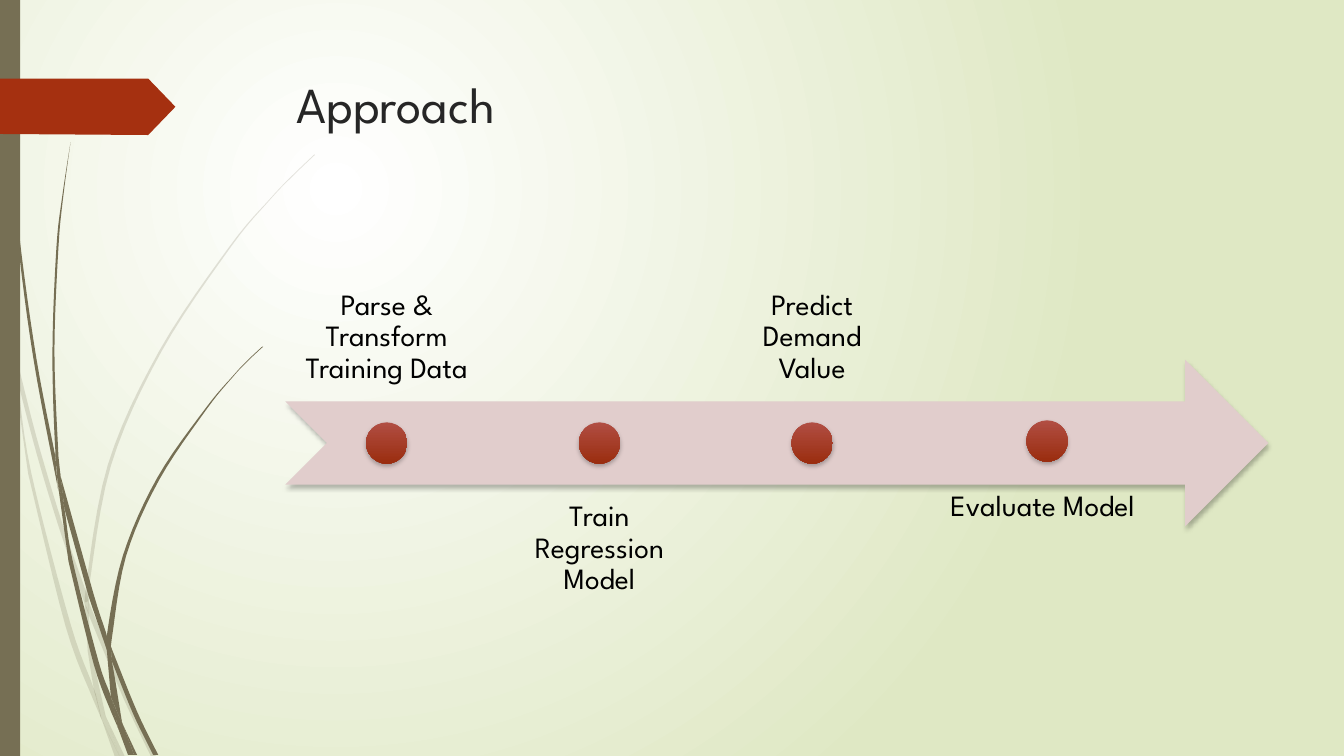
import pptx
import pptx.dml.color
import pptx.enum.shapes
import pptx.enum.text
import pptx.oxml
import pptx.oxml.ns
import pptx.util

PX = 9144  # EMU per px, 100 px to the inch
FONT = "League Spartan"
RGB = pptx.dml.color.RGBColor
SHAPE = pptx.enum.shapes.MSO_SHAPE
ANCHOR = pptx.enum.text.MSO_ANCHOR
ALIGN = pptx.enum.text.PP_ALIGN
qn = pptx.oxml.ns.qn

WHITE = RGB(0xFF, 0xFF, 0xFF)
PALE_GREEN = RGB(0xDF, 0xE8, 0xC4)
OLIVE = RGB(0x76, 0x6F, 0x54)
RED = RGB(0xA5, 0x30, 0x10)
DOT_TOP = RGB(0xB1, 0x4E, 0x43)
DOT_BOTTOM = RGB(0x9A, 0x2D, 0x0F)
PINK = RGB(0xE1, 0xCD, 0xCC)
DARK = RGB(0x26, 0x26, 0x26)
BLACK = RGB(0, 0, 0)

# Grass pieces: one edge going down, then the other edge coming back
FADED_GRASS = [
    ([(0, 282), (9, 322), (11, 350)], [(10, 344), (0, 299)]),
    ([(14, 345), (36, 433), (62, 520), (85, 586)],
     [(84, 599), (58, 522), (36, 449), (17, 376)]),
    ([(88, 596), (92, 607), (127, 692), (155, 751)],
     [(150, 751), (123, 694), (88, 610)]),
    ([(105, 711), (124, 751)], [(119, 751)]),
    ([(11, 350), (17, 376), (31, 469), (70, 619), (93, 683), (101, 714)],
     [(92, 693), (65, 621), (28, 470)]),
    ([(84, 599), (88, 610), (91, 646), (105, 711)],
     [(96, 692), (93, 683), (87, 646)]),
    ([(312, 153), (289, 175), (268, 197), (228, 244), (158, 348), (107, 461),
      (85, 584), (88, 596)],
     [(88, 584), (110, 462), (160, 349), (229, 245), (268, 198), (290, 175),
      (312, 154)]),
    ([(101, 714), (114, 751)], [(119, 751)]),
    ([(85, 586), (88, 596), (88, 610)], [(84, 599)]),
    ([(93, 683), (99, 707), (101, 714), (119, 751)], [(105, 711), (96, 692)]),
]
DARK_GRASS = [
    ([(3, 0), (4, 48), (7, 110), (17, 233), (33, 355), (56, 477), (57, 481)],
     [(55, 453), (36, 355), (19, 232), (8, 109), (5, 48), (4, 0)]),
    ([(60, 472), (93, 590), (106, 631), (106, 645)], [(88, 592), (64, 505)]),
    ([(110, 641), (113, 649), (136, 706), (157, 749)],
     [(152, 749), (132, 708), (111, 656)]),
    ([(57, 477), (64, 505), (72, 556), (98, 657), (110, 691), (117, 722)],
     [(111, 708), (93, 659), (68, 557)]),
    ([(70, 141), (62, 193), (56, 245), (52, 349), (55, 449), (60, 472)],
     [(58, 453), (54, 349), (58, 245), (63, 193), (70, 141)]),
    ([(122, 719), (136, 749)], [(133, 749)]),
    ([(55, 449), (60, 472), (64, 505)], [(57, 477), (55, 453)]),
    ([(260, 344), (245, 358), (231, 373), (204, 405), (156, 474), (122, 551),
      (106, 631), (110, 641)],
     [(111, 633), (125, 552), (158, 476), (205, 406), (231, 374), (245, 359),
      (261, 344)]),
    ([(117, 722), (131, 749)], [(127, 749)]),
    ([(106, 645), (111, 656), (121, 716), (122, 719)],
     [(116, 706), (110, 691)]),
    ([(106, 631), (110, 641), (111, 656)], [(106, 645)]),
    ([(110, 691), (116, 706), (122, 719), (133, 749)],
     [(130, 749), (117, 722)]),
]
BANNER = [(0, 78), (147, 78), (174, 106), (147, 134), (0, 133)]

# Steps: text, text box, anchor, dot left and top
STEPS = [
    ("Parse & Transform Training Data", (283, 233, 201, 165), ANCHOR.BOTTOM, (363, 419)),
    ("Train Regression Model", (494, 481, 201, 165), ANCHOR.TOP, (574, 419)),
    ("Predict Demand Value", (705, 233, 201, 165), ANCHOR.BOTTOM, (785, 419)),
    ("Evaluate Model", (912, 471, 244, 175), ANCHOR.TOP, (1018, 417)),
]
DOT = 41


def px(*lengths):
    return [pptx.util.Emu(round(n * PX)) for n in lengths]


def smooth(points, steps=6):
    """Catmull-Rom curve through the points."""
    ends = [points[0], *points, points[-1]]
    curve = [points[0]]
    for a, b, c, d in zip(ends, ends[1:], ends[2:], ends[3:]):
        for i in range(1, steps + 1):
            t = i / steps
            curve.append(tuple(
                b[k] + t * (c[k] - a[k]) / 2
                + t * t * (2 * a[k] - 5 * b[k] + 4 * c[k] - d[k]) / 2
                + t ** 3 * (3 * b[k] - a[k] - 3 * c[k] + d[k]) / 2
                for k in (0, 1)))
    return curve


def paint(sp, color):
    sp.shadow.inherit = False
    sp.fill.solid()
    sp.fill.fore_color.rgb = color
    sp.line.fill.background()


def add_outline(shapes, points, color):
    start, *rest = [px(*point) for point in points]
    builder = shapes.build_freeform(*start)
    builder.add_line_segments(rest, close=True)
    sp = builder.convert_to_shape()
    paint(sp, color)
    return sp


def add_grass(s, pieces, opacity):
    group = s.shapes.add_group_shape()
    for down, back in pieces:
        sp = add_outline(group.shapes, smooth(down) + smooth(back), OLIVE)
        if opacity < 100:
            clr = sp._element.spPr.find(".//" + qn("a:srgbClr"))
            clr.append(pptx.oxml.parse_xml(
                f'<a:alpha {pptx.oxml.ns.nsdecls("a")} val="{opacity * 1000}"/>'))


def add_preset(s, kind, box, color):
    sp = s.shapes.add_shape(kind, *px(*box))
    paint(sp, color)
    return sp


def add_soft_shadow(sp):
    effects = sp._element.spPr.find(qn("a:effectLst"))
    effects.append(pptx.oxml.parse_xml(
        f'<a:outerShdw {pptx.oxml.ns.nsdecls("a")} blurRad="38100" dist="25400" '
        'dir="5400000" rotWithShape="0"><a:srgbClr val="000000">'
        '<a:alpha val="25000"/></a:srgbClr></a:outerShdw>'))


def set_gradient(fill, first, last):
    fill.gradient()
    for stop, color in zip(fill.gradient_stops, (first, last)):
        stop.color.rgb = color


def set_background(s):
    set_gradient(s.background.fill, WHITE, PALE_GREEN)
    lin = s._element.find(".//" + qn("a:lin"))
    lin.getparent().replace(lin, pptx.oxml.parse_xml(
        f'<a:path {pptx.oxml.ns.nsdecls("a")} path="circle"><a:fillToRect '
        'l="50000" t="50000" r="100000" b="100000"/></a:path>'))


def add_text(s, text, box, size, color, anchor=ANCHOR.TOP, align=ALIGN.LEFT,
             inset=(10, 5), spacing=1.0):
    tf = s.shapes.add_textbox(*px(*box)).text_frame
    tf.word_wrap = True
    tf.vertical_anchor = anchor
    tf.margin_left = tf.margin_right = px(inset[0])[0]
    tf.margin_top = tf.margin_bottom = px(inset[1])[0]
    p = tf.paragraphs[0]
    p.text = text
    p.alignment = align
    p.line_spacing = spacing
    r = p.runs[0]
    r.font.name = FONT
    r.font.size = pptx.util.Pt(size)
    r.font.color.rgb = color


def add_step(s, text, box, anchor, dot):
    add_text(s, text, box, 21, BLACK, anchor, ALIGN.CENTER, (16, 16), 0.9)
    sp = add_preset(s, SHAPE.OVAL, (*dot, DOT, DOT), DOT_TOP)
    set_gradient(sp.fill, DOT_TOP, DOT_BOTTOM)
    sp.fill.gradient_angle = 270
    add_soft_shadow(sp)


def main():
    prs = pptx.Presentation()
    prs.slide_width, prs.slide_height = px(1333, 750)
    s = prs.slides.add_slide(prs.slide_layouts[6])

    # Backdrop
    set_background(s)
    add_grass(s, FADED_GRASS, 20)
    add_grass(s, DARK_GRASS, 100)
    add_preset(s, SHAPE.RECTANGLE, (0, 0, 20, 750), OLIVE)
    add_outline(s.shapes, BANNER, RED)

    # Title
    add_text(s, "Approach", (284, 68, 975, 140), 36, DARK)

    # Timeline
    arrow = add_preset(s, SHAPE.NOTCHED_RIGHT_ARROW, (283, 357, 975, 165), PINK)
    add_soft_shadow(arrow)
    for step in STEPS:
        add_step(s, *step)

    prs.save("out.pptx")


if __name__ == "__main__":
    main()
